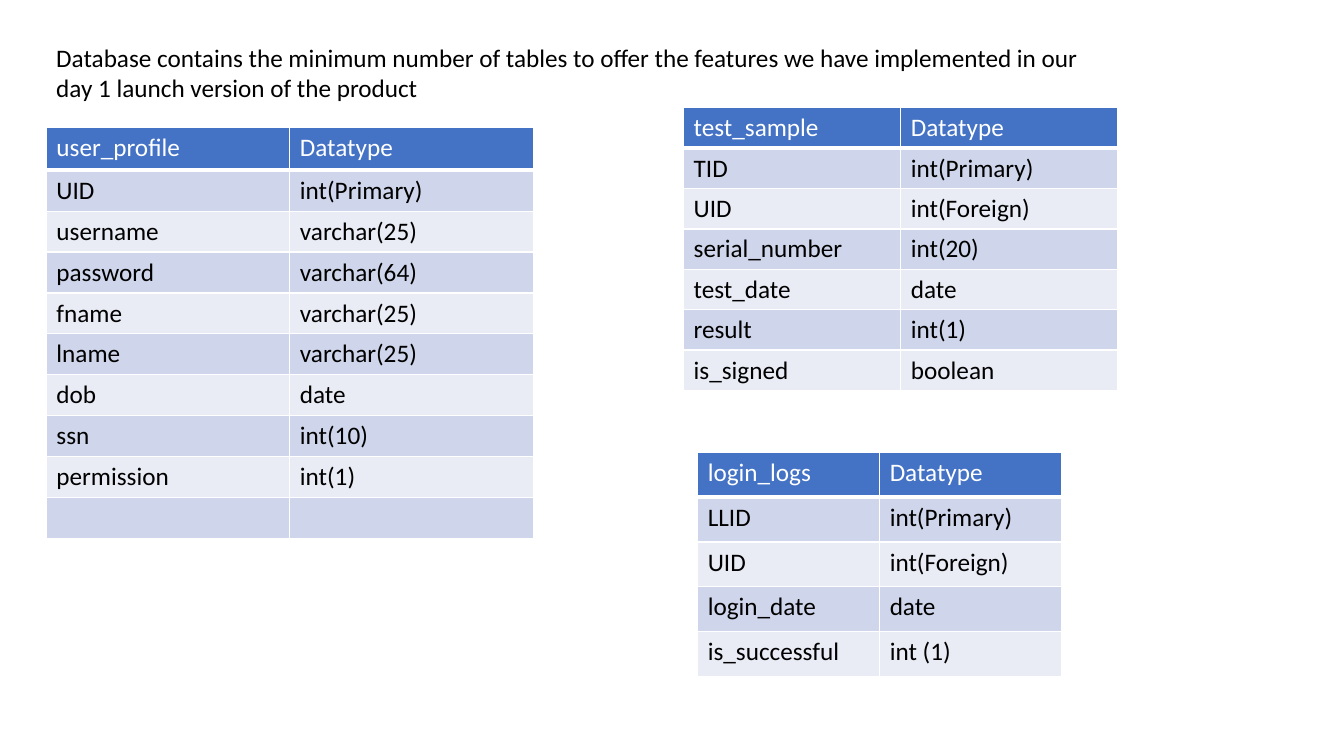
from dataclasses import dataclass

from lxml.etree import SubElement
from pptx import Presentation
from pptx.dml.color import RGBColor
from pptx.enum.text import MSO_AUTO_SIZE
from pptx.oxml import parse_xml
from pptx.oxml.ns import nsdecls, qn
from pptx.util import Inches, Pt


@dataclass(frozen=True)
class Theme:
    """Colours and type sizes of the slide."""
    font: str = "Calibri"
    size: int = 18
    ink: str = "000000"
    white: str = "FFFFFF"
    head: str = "4472C4"
    bands: tuple = ("CFD5EA", "E9EBF5")
    thin: int = 1
    thick: int = 3


THEME = Theme()

INTRO = ("Database contains the minimum number of tables to offer the features "
         "we have implemented in our day 1 launch version of the product")

USERS = [
    ("user_profile", "Datatype"),
    ("UID", "int(Primary)"),
    ("username", "varchar(25)"),
    ("password", "varchar(64)"),
    ("fname", "varchar(25)"),
    ("lname", "varchar(25)"),
    ("dob", "date"),
    ("ssn", "int(10)"),
    ("permission", "int(1)"),
    ("", ""),
]
LOGINS = [
    ("login_logs", "Datatype"),
    ("LLID", "int(Primary)"),
    ("UID", "int(Foreign)"),
    ("login_date", "date"),
    ("is_successful", "int (1)"),
]
TESTS = [
    ("test_sample", "Datatype"),
    ("TID", "int(Primary)"),
    ("UID", "int(Foreign)"),
    ("serial_number", "int(20)"),
    ("test_date", "date"),
    ("result", "int(1)"),
    ("is_signed", "boolean"),
]


def style(para, color):
    """Set the font of a paragraph."""
    font = para.font
    font.name, font.size = THEME.font, Pt(THEME.size)
    font.color.rgb = RGBColor.from_string(color)


def frame(cell, base):
    """Draw white borders round a cell, with the given bottom width."""
    props = cell._tc.get_or_add_tcPr()
    for spot, side in enumerate("LRTB"):
        width = Pt(base if side == "B" else THEME.thin)
        line = parse_xml(f'<a:ln{side} {nsdecls("a")} w="{width}"/>')
        fill = SubElement(line, qn("a:solidFill"))
        SubElement(fill, qn("a:srgbClr"), val=THEME.white)
        props.insert(spot, line)


def add_intro(slide, box, text):
    """Place the opening sentence in its box."""
    shape = slide.shapes.add_textbox(*map(Inches, box))
    body = shape.text_frame
    body.word_wrap = True
    body.auto_size = MSO_AUTO_SIZE.SHAPE_TO_FIT_TEXT
    body.text = text
    style(body.paragraphs[0], THEME.ink)


def add_schema(slide, box, rows, top=None):
    """Fill a box with a banded table; top is the header height if it differs."""
    grid = slide.shapes.add_table(len(rows), len(rows[0]),
                                  *map(Inches, box)).table
    if top:
        rest = (box[3] - top) / (len(rows) - 1)
        for i, row in enumerate(grid.rows):
            row.height = Inches(rest if i else top)
    for i, row in enumerate(rows):
        shade = THEME.bands[(i - 1) % 2] if i else THEME.head
        for j, text in enumerate(row):
            cell = grid.cell(i, j)
            cell.text = text
            style(cell.text_frame.paragraphs[0], THEME.ink if i else THEME.white)
            cell.fill.solid()
            cell.fill.fore_color.rgb = RGBColor.from_string(shade)
            frame(cell, THEME.thin if i else THEME.thick)


def build_slide(deck):
    """Add the database slide with its sentence and three tables."""
    slide = deck.slides.add_slide(deck.slide_layouts[6])
    add_schema(slide, (0.46, 1.26, 4.83, 4.03), USERS, top=0.43)
    add_intro(slide, (0.46, 0.37, 10.36, 0.71), INTRO)
    add_schema(slide, (6.92, 4.49, 3.61, 2.22), LOGINS)
    add_schema(slide, (6.78, 1.07, 4.31, 2.8), TESTS)


deck = Presentation()
deck.slide_width, deck.slide_height = Inches(13.33), Inches(7.5)
build_slide(deck)
deck.save("out.pptx")
